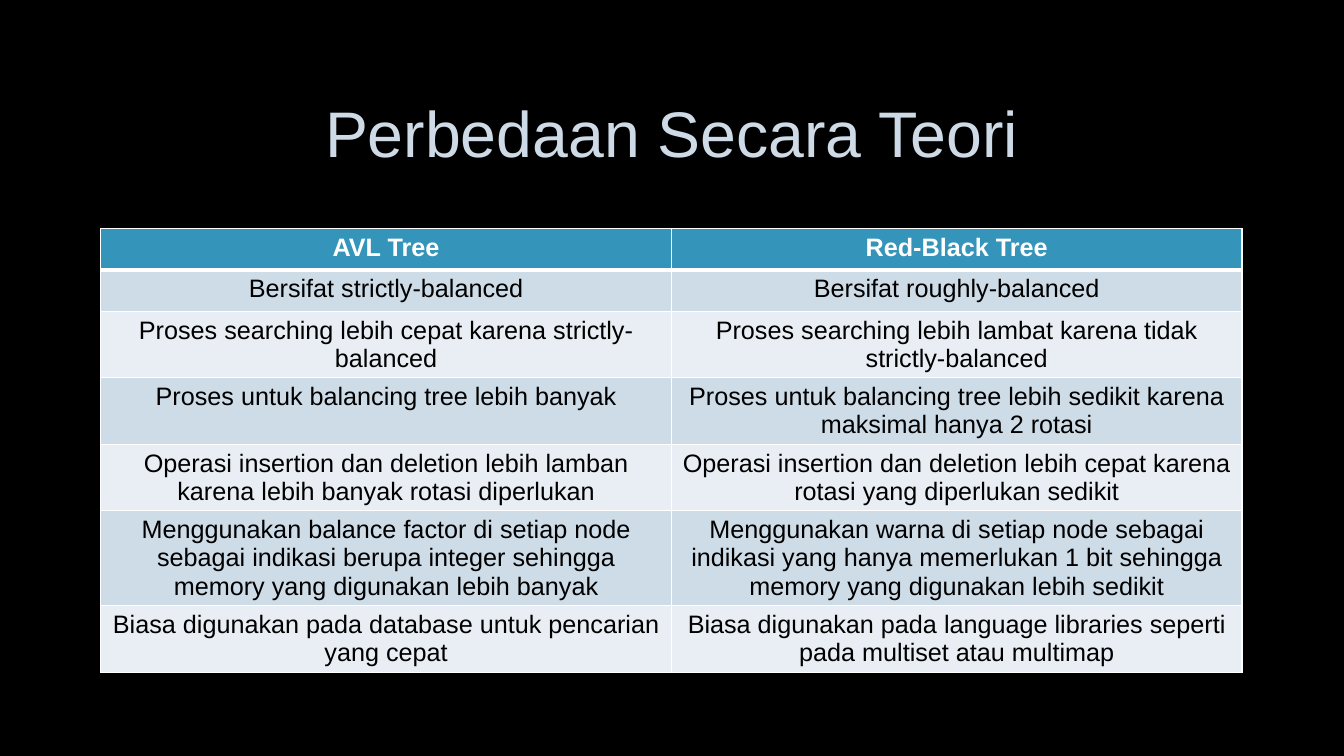
from lxml import etree
from pptx import Presentation
from pptx.dml.color import RGBColor
from pptx.enum.text import MSO_ANCHOR, MSO_AUTO_SIZE, PP_ALIGN
from pptx.oxml import parse_xml
from pptx.oxml.ns import nsdecls, qn
from pptx.util import Cm, Pt

CENTER = PP_ALIGN.CENTER
MIDDLE = MSO_ANCHOR.MIDDLE
NO_FIT = MSO_AUTO_SIZE.NONE

FONT = "Arial"
COLORS = {
    "background": "000000",
    "title": "CEDBE6",
    "outline": "404040",
    "header": "3494BA",
    "odd": "CEDCE7",
    "even": "E8EEF3",
    "white": "FFFFFF",
    "black": "000000",
}
ROWS = [
    ("AVL Tree", "Red-Black Tree"),
    ("Bersifat strictly-balanced", "Bersifat roughly-balanced"),
    ("Proses searching lebih cepat karena strictly-balanced",
     "Proses searching lebih lambat karena tidak strictly-balanced"),
    ("Proses untuk balancing tree lebih banyak",
     "Proses untuk balancing tree lebih sedikit karena maksimal hanya 2 rotasi"),
    ("Operasi insertion dan deletion lebih lamban karena lebih banyak rotasi diperlukan",
     "Operasi insertion dan deletion lebih cepat karena rotasi yang diperlukan sedikit"),
    ("Menggunakan balance factor di setiap node sebagai indikasi berupa integer "
     "sehingga memory yang digunakan lebih banyak",
     "Menggunakan warna di setiap node sebagai indikasi yang hanya memerlukan 1 bit "
     "sehingga memory yang digunakan lebih sedikit"),
    ("Biasa digunakan pada database untuk pencarian yang cepat",
     "Biasa digunakan pada language libraries seperti pada multiset atau multimap"),
]
LEFT, WIDTH = Cm(2.54), Cm(28.76)
ROW_HEIGHT, LAST_ROW_HEIGHT = Cm(1.04), Cm(1.32)


def style_text(paragraph, size, color, bold=False):
    paragraph.alignment = CENTER
    font = paragraph.runs[0].font
    font.name = FONT
    font.size = Pt(size)
    font.bold = bold
    font.color.rgb = RGBColor.from_string(COLORS[color])


def add_border(cell, side, points):
    line = etree.SubElement(cell._tc.get_or_add_tcPr(), qn(f"a:ln{side}"), w=str(Pt(points)))
    fill = etree.SubElement(line, qn("a:solidFill"))
    etree.SubElement(fill, qn("a:srgbClr"), val=COLORS["white"])


# Slide and background
deck = Presentation()
deck.slide_width, deck.slide_height = Cm(33.87), Cm(19.05)
page = deck.slides.add_slide(deck.slide_layouts[5])
page.background.fill.solid()
page.background.fill.fore_color.rgb = RGBColor.from_string(COLORS["background"])

# Title with a faint outline
title = page.shapes.title
title.left, title.top, title.width, title.height = LEFT, Cm(1.7), WIDTH, Cm(3.5)
frame = title.text_frame
frame.text = "Perbedaan Secara Teori"
frame.word_wrap = True
frame.auto_size = NO_FIT
frame.vertical_anchor = MIDDLE
heading = frame.paragraphs[0]
heading.line_spacing = 0.9
style_text(heading, 46, "title")
outline = parse_xml(
    f'<a:ln {nsdecls("a")} w="{Pt(0.75)}"><a:solidFill><a:srgbClr val="{COLORS["outline"]}">'
    '<a:alpha val="10000"/></a:srgbClr></a:solidFill></a:ln>')
heading.runs[0].font._element.insert(0, outline)

# Comparison table
table_height = ROW_HEIGHT * (len(ROWS) - 1) + LAST_ROW_HEIGHT
table = page.shapes.add_table(len(ROWS), 2, LEFT, Cm(5.76), WIDTH, table_height).table
for row in table.rows:
    row.height = ROW_HEIGHT
table.rows[len(ROWS) - 1].height = LAST_ROW_HEIGHT

for row_index, texts in enumerate(ROWS):
    is_header = row_index == 0
    fill_name = "header" if is_header else "odd" if row_index % 2 else "even"
    for column_index, text in enumerate(texts):
        cell = table.cell(row_index, column_index)
        cell.text_frame.text = text
        style_text(cell.text_frame.paragraphs[0], 18,
                   "white" if is_header else "black", is_header)
        for side in "LRT":
            add_border(cell, side, 3 if side == "T" and row_index == 1 else 1)
        add_border(cell, "B", 3 if is_header else 1)
        cell.fill.solid()
        cell.fill.fore_color.rgb = RGBColor.from_string(COLORS[fill_name])

deck.save("out.pptx")
